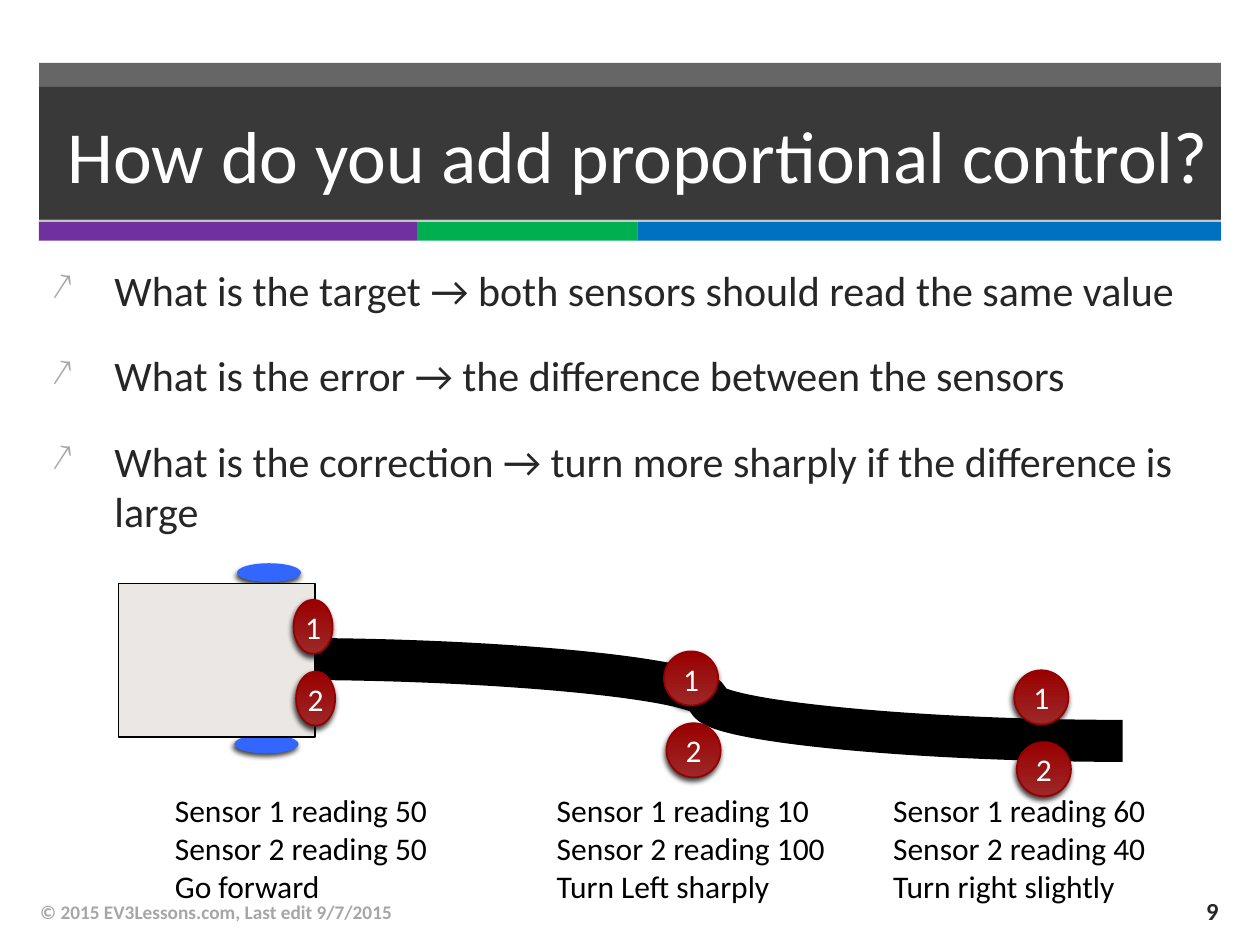
from lxml import etree
from pptx import Presentation
from pptx.dml.color import RGBColor
from pptx.enum.shapes import MSO_CONNECTOR, MSO_SHAPE
from pptx.enum.text import MSO_ANCHOR, PP_ALIGN
from pptx.oxml.ns import qn
from pptx.util import Inches, Pt

RECT, OVAL = MSO_SHAPE.RECTANGLE, MSO_SHAPE.OVAL
CURVE = MSO_CONNECTOR.CURVE
TOP, MIDDLE = MSO_ANCHOR.TOP, MSO_ANCHOR.MIDDLE
LEFT, CENTER, RIGHT = PP_ALIGN.LEFT, PP_ALIGN.CENTER, PP_ALIGN.RIGHT

THEME = {
    "font": "Calibri", "title": 42, "body": 24, "label": 18, "footer": 11, "number": 14,
    "dark": "262626", "white": "FFFFFF", "black": "000000", "muted": "A6A6A6",
    "sensor_low": "9D2828", "sensor_high": "990000", "sensor_edge": "960000",
    "wheel": "3366FF", "chassis": "EAE7E4",
}

TITLE = "How do you add proportional control?"
STRIPES = [("7030A0", 3), ("00B050", 1.75), ("0070C0", 4.63)]
QUESTIONS = [
    "What is the target → both sensors should read the same value",
    "What is the error → the difference between the sensors",
    "What is the correction → turn more sharply if the difference is large",
]
READINGS = [
    (1.29, 2.6, ["Sensor 1 reading 50", "Sensor 2 reading 50", "Go forward"]),
    (4.32, 2.51, ["Sensor 1 reading 10", "Sensor 2 reading 100 Turn Left sharply"]),
    (6.99, 2.21, ["Sensor 1 reading 60", "Sensor 2 reading 40 Turn right slightly"]),
]
ROBOT_SENSORS = (2.33, 4.76, 0.31)
TRACK_SENSORS = [(5.27, 5.17, 0.43), (8.05, 5.32, 0.43)]
SENSOR_STEP = (0.02, 0.57)
SENSOR_HEIGHT = 0.43
WHEELS = [(1.88, 4.47), (1.86, 5.83)]
FOOTER = "© 2015 EV3Lessons.com, Last edit 9/7/2015"
PAGE = "9"
MARGIN, CONTENT_WIDTH = 0.31, 9.38


def color(name):
    return RGBColor.from_string(THEME.get(name, name))


def inches(*values):
    return [Inches(value) for value in values]


def write(frame, lines, size, ink, align=LEFT, anchor=TOP, bold=False):
    frame.text = "\n".join(lines)
    frame.word_wrap = True
    frame.vertical_anchor = anchor
    for paragraph in frame.paragraphs:
        paragraph.alignment = align
        for run in paragraph.runs:
            run.font.name = THEME["font"]
            run.font.size = Pt(THEME[size])
            run.font.bold = bold
            run.font.color.rgb = color(ink)


def add_text(shapes, box, lines, size, ink, **style):
    frame = shapes.add_textbox(*inches(*box)).text_frame
    write(frame, lines, size, ink, **style)
    return frame


def set_alpha(fill_parent, percent):
    srgb = next(fill_parent.iter(qn("a:srgbClr")))
    etree.SubElement(srgb, qn("a:alpha"), val=str(percent * 1000))


def add_shape(shapes, kind, box, fill, edge=None):
    shape = shapes.add_shape(kind, *inches(*box))
    shape.fill.solid()
    shape.fill.fore_color.rgb = color(fill)
    if edge:
        shape.line.color.rgb = color(edge)
        shape.line.width = Pt(1)
    else:
        shape.line.fill.background()
    shape.shadow.inherit = False
    return shape


def cast_shadow(shape):
    effects = shape._element.spPr.find(qn("a:effectLst"))
    shadow = etree.SubElement(effects, qn("a:outerShdw"), blurRad=str(Pt(3)),
                              dist=str(Pt(2)), dir=str(110 * 60000), rotWithShape="0")
    etree.SubElement(shadow, qn("a:srgbClr"), val=THEME["black"])
    set_alpha(shadow, 75)


def add_sensor(shapes, box, number):
    sensor = add_shape(shapes, OVAL, box, "sensor_high", "sensor_edge")
    sensor.fill.gradient()
    sensor.fill.gradient_angle = 90
    for stop, position, tint in zip(sensor.fill.gradient_stops, (0, 1),
                                    ("sensor_low", "sensor_high")):
        stop.position = position
        stop.color.rgb = color(tint)
    cast_shadow(sensor)
    frame = sensor.text_frame
    write(frame, [str(number)], "label", "white", align=CENTER, anchor=MIDDLE)
    frame.word_wrap = False
    frame.margin_left = frame.margin_right = frame.margin_top = frame.margin_bottom = 0


def add_sensor_pair(shapes, left, top, width):
    step_x, step_y = SENSOR_STEP
    for number in (2, 1):
        offset = number - 1
        box = (left + offset * step_x, top + offset * step_y, width, SENSOR_HEIGHT)
        add_sensor(shapes, box, number)


def add_bullet(paragraph, sign):
    properties = paragraph._p.get_or_add_pPr()
    properties.set("marL", str(Inches(0.5)))
    properties.set("indent", str(Inches(-0.5)))
    tint = etree.SubElement(properties, qn("a:buClr"))
    etree.SubElement(tint, qn("a:srgbClr"), val=THEME["muted"])
    etree.SubElement(properties, qn("a:buSzPct"), val="90000")
    etree.SubElement(properties, qn("a:buChar"), char=sign)


def add_header(slide):
    title = slide.shapes.title
    title.left, title.top, title.width, title.height = inches(MARGIN, 0.69, CONTENT_WIDTH, 1.06)
    title.fill.solid()
    title.fill.fore_color.rgb = color("dark")
    set_alpha(title._element.spPr, 70)
    write(title.text_frame, [TITLE], "title", "white", align=RIGHT, anchor=MIDDLE)
    band = add_shape(slide.shapes, RECT, (MARGIN, 0.5, CONTENT_WIDTH, 1.24), "dark")
    set_alpha(band._element.spPr, 70)
    title._element.addprevious(band._element)
    stripes = slide.shapes.add_group_shape()
    left = MARGIN
    for tint, width in STRIPES:
        add_shape(stripes.shapes, RECT, (left, 1.76, width, 0.15), tint)
        left += width


def add_questions(slide):
    frame = add_text(slide.shapes, (MARGIN, 2.05, CONTENT_WIDTH, 2.83), QUESTIONS, "body", "dark")
    for index, paragraph in enumerate(frame.paragraphs):
        paragraph.space_before = Pt(20 if index else 0)
        add_bullet(paragraph, "↗")


def add_line_to_follow(slide):
    track = slide.shapes.add_connector(CURVE, *inches(2.33, 5.23, 8.91, 5.88))
    track.line.color.rgb = color("black")
    track.line.width = Pt(24)
    etree.SubElement(track._element.spPr, qn("a:effectLst"))


def add_robot(slide):
    robot = slide.shapes.add_group_shape().shapes
    for left, top in WHEELS:
        cast_shadow(add_shape(robot, OVAL, (left, top, 0.51, 0.15), "wheel"))
    add_shape(robot, RECT, (0.94, 4.63, 1.56, 1.22), "chassis", "black")
    add_sensor_pair(robot, *ROBOT_SENSORS)


def main():
    deck = Presentation()
    deck.slide_width, deck.slide_height = inches(10, 7.5)
    slide = deck.slides.add_slide(deck.slide_layouts[5])
    add_header(slide)
    add_questions(slide)
    add_text(slide.shapes, (0.22, 7.04, 6.7, 0.4), [FOOTER], "footer", "muted",
             anchor=MIDDLE, bold=True)
    add_text(slide.shapes, (9.08, 7.03, 0.69, 0.39), [PAGE], "number", "dark",
             align=RIGHT, anchor=MIDDLE, bold=True)
    add_line_to_follow(slide)
    add_robot(slide)
    for pair in TRACK_SENSORS:
        add_sensor_pair(slide.shapes, *pair)
    for left, width, lines in READINGS:
        add_text(slide.shapes, (left, 6.23, width, 1.01), lines, "label", "black")
    deck.save("out.pptx")


if __name__ == "__main__":
    main()
